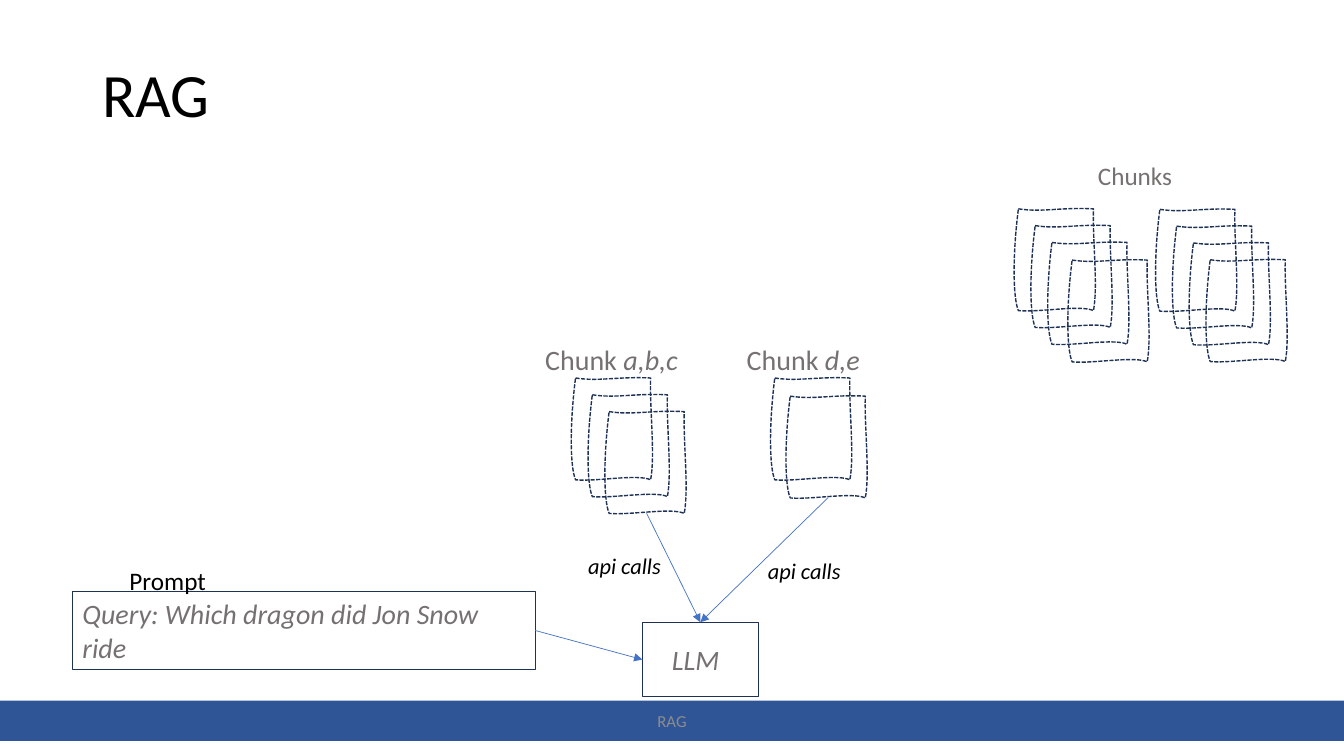
"""Build the RAG slide: document chunks and a query feeding an LLM."""
from dataclasses import dataclass

import lxml.etree
import pptx
import pptx.dml.color
import pptx.enum.dml
import pptx.enum.shapes
import pptx.enum.text
import pptx.oxml.ns
import pptx.util

WIDTH, HEIGHT = pptx.util.Inches(13.333), pptx.util.Inches(7.5)
COLUMNS, ROWS = 80, 45
NAVY, BLUE, BAR, GREY, BLACK = "1E3256", "4472C4", "2F5597", "767171", "000000"
SHEET_WIDTH, SHEET_HEIGHT = 4.47, 6.06
SHEET_CURVES = (
    ((1.42, 0.22), (2.48, -0.1), (SHEET_WIDTH, 0)),
    ((4.41, 1.8), (4.75, 4.63), (SHEET_WIDTH, SHEET_HEIGHT)),
    ((3.7, 5.7), (1.24, 6.18), (0, SHEET_HEIGHT)),
    ((-0.34, 5.27), (-0.34, 2.65), (0, 0)),
)


@dataclass(frozen=True)
class Stack:
    """Overlapping sheets, placed in columns and rows."""
    left: float
    top: float
    count: int
    dx: float = 1
    dy: float = 1

    def corner(self, i: int) -> tuple[float, float]:
        """Return the top left corner of sheet i."""
        return self.left + i * self.dx, self.top + i * self.dy

    def foot(self) -> tuple[float, float]:
        """Return the bottom middle of the front sheet."""
        left, top = self.corner(self.count - 1)
        return left + SHEET_WIDTH / 2, top + SHEET_HEIGHT


@dataclass(frozen=True)
class Label:
    """A text box, placed in columns and rows."""
    box: tuple[float, float, float, float]
    text: str
    size: int
    color: str = GREY
    italic: bool = False
    tail: str = ""


CHUNKS_ABC = Stack(34.26, 22.5, 3)
CHUNKS_DE = Stack(46.12, 22.5, 2, 0.92, 1.08)
STACKS = (
    Stack(69.04, 12.46, 4),
    Stack(60.62, 12.43, 3),
    Stack(63.82, 15.48, 1),
    CHUNKS_ABC,
    CHUNKS_DE,
)
LABELS = (
    Label((31.86, 20.1, 10.8, 2.64), "Chunk ", 20, tail="a,b,c"),
    Label((43.86, 20.1, 9, 2.64), "Chunk ", 20, tail="d,e"),
    Label((7.12, 33.36, 6.18, 2.4), "Prompt", 18, BLACK),
    Label((39.4, 37.92, 4.44, 2.64), "LLM", 20, italic=True),
    Label((64.76, 9.24, 6.72, 2.4), "Chunks", 18),
    Label((34.42, 32.58, 6.18, 2.22), "api calls", 16, BLACK, True),
    Label((45.12, 32.88, 6.18, 2.22), "api calls", 16, BLACK, True),
)


def rgb(color: str) -> pptx.dml.color.RGBColor:
    """Turn a hex string into a colour."""
    return pptx.dml.color.RGBColor.from_string(color)


def x(columns: float) -> int:
    """Convert columns to a length."""
    return round(WIDTH * columns / COLUMNS)


def y(rows: float) -> int:
    """Convert rows to a length."""
    return round(HEIGHT * rows / ROWS)


def place(box: tuple[float, float, float, float]) -> tuple[int, int, int, int]:
    """Convert a grid box to lengths."""
    left, top, width, height = box
    return x(left), y(top), x(width), y(height)


def write(sp, text: str, *, size: int, color: str, italic: bool = False,
          tail: str = "", align=pptx.enum.text.PP_ALIGN.LEFT,
          anchor=pptx.enum.text.MSO_ANCHOR.TOP, spacing: float = 1.0) -> None:
    """Write one paragraph, with an optional italic tail."""
    tf = sp.text_frame
    tf.word_wrap = True
    tf.vertical_anchor = anchor
    p = tf.paragraphs[0]
    p.alignment, p.line_spacing = align, spacing
    for words, slanted in ((text, italic), (tail, True)):
        if words:
            r = p.add_run()
            r.text = words
            r.font.name, r.font.size = "Calibri", pptx.util.Pt(size)
            r.font.italic = slanted
            r.font.color.rgb = rgb(color)


def style(sp, fill: str = "", line: str = "", weight: float = 1) -> None:
    """Set the fill and line of a shape and drop its shadow."""
    sp.shadow.inherit = False
    if fill:
        sp.fill.solid()
        sp.fill.fore_color.rgb = rgb(fill)
    else:
        sp.fill.background()
    if line:
        sp.line.color.rgb = rgb(line)
        sp.line.width = pptx.util.Pt(weight)
    else:
        sp.line.fill.background()


def add_rect(s, box: tuple[float, float, float, float], **look):
    """Add a styled rectangle."""
    sp = s.shapes.add_shape(pptx.enum.shapes.MSO_SHAPE.RECTANGLE, *place(box))
    style(sp, **look)
    return sp


def add_label(s, label: Label) -> None:
    """Add a text box for a label."""
    sp = s.shapes.add_textbox(*place(label.box))
    write(sp, label.text, size=label.size, color=label.color,
          italic=label.italic, tail=label.tail)


def add_sheet(s, left: float, top: float) -> None:
    """Add one dashed sheet whose four edges are cubic curves."""
    qn = pptx.oxml.ns.qn
    outline = s.shapes.build_freeform(x(left), y(top))
    outline.add_line_segments(
        [(x(left + dx), y(top + dy)) for *_, (dx, dy) in SHEET_CURVES])
    sp = outline.convert_to_shape()
    edges = list(sp._element.iter(qn("a:lnTo")))
    for edge, curve in zip(edges, SHEET_CURVES):
        bend = lxml.etree.Element(qn("a:cubicBezTo"))
        for dx, dy in curve:
            lxml.etree.SubElement(bend, qn("a:pt"), x=str(x(dx)), y=str(y(dy)))
        edge.getparent().replace(edge, bend)
    style(sp, line=NAVY)
    sp.line.dash_style = pptx.enum.dml.MSO_LINE.SQUARE_DOT


def add_arrow(s, start: tuple[float, float], target, side: int):
    """Add an arrow from a grid point to a side of a rectangle."""
    begin = x(start[0]), y(start[1])
    sp = s.shapes.add_connector(pptx.enum.shapes.MSO_CONNECTOR.STRAIGHT, *begin, *begin)
    sp.end_connect(target, side)
    sp.line.color.rgb = rgb(BLUE)
    sp.line.width = pptx.util.Pt(0.5)
    qn = pptx.oxml.ns.qn
    lxml.etree.SubElement(sp.line._get_or_add_ln(), qn("a:tailEnd"), type="triangle")
    lxml.etree.SubElement(sp._element.spPr, qn("a:effectLst"))
    return sp


def main() -> None:
    """Build and save the slide."""
    prs = pptx.Presentation()
    prs.slide_width, prs.slide_height = WIDTH, HEIGHT
    s = prs.slides.add_slide(prs.slide_layouts[6])
    middle = pptx.enum.text.MSO_ANCHOR.MIDDLE

    footer = add_rect(s, (0, 41.7, COLUMNS, 2.4), fill=BAR)
    write(footer, "RAG", size=12, color="8C8C8C", anchor=middle,
          align=pptx.enum.text.PP_ALIGN.CENTER)
    title = s.shapes.add_textbox(*place((5.5, 2.4, 69, 6.78)))
    write(title, "RAG", size=44, color=BLACK, anchor=middle, spacing=0.9)

    for stack in STACKS:
        for i in range(stack.count):
            add_sheet(s, *stack.corner(i))

    query = add_rect(s, (4.32, 35.22, 27.54, 4.62), line=NAVY, weight=0.75)
    write(query, "Query: Which dragon did Jon Snow ride", size=20, color=GREY, italic=True)
    llm = add_rect(s, (38.24, 37.04, 6.9, 4.44), line=NAVY)
    for label in LABELS:
        add_label(s, label)

    for stack in (CHUNKS_ABC, CHUNKS_DE):
        add_arrow(s, stack.foot(), llm, 0)
    add_arrow(s, (31.86, 37.53), llm, 1).begin_connect(query, 3)
    prs.save("out.pptx")


if __name__ == "__main__":
    main()
